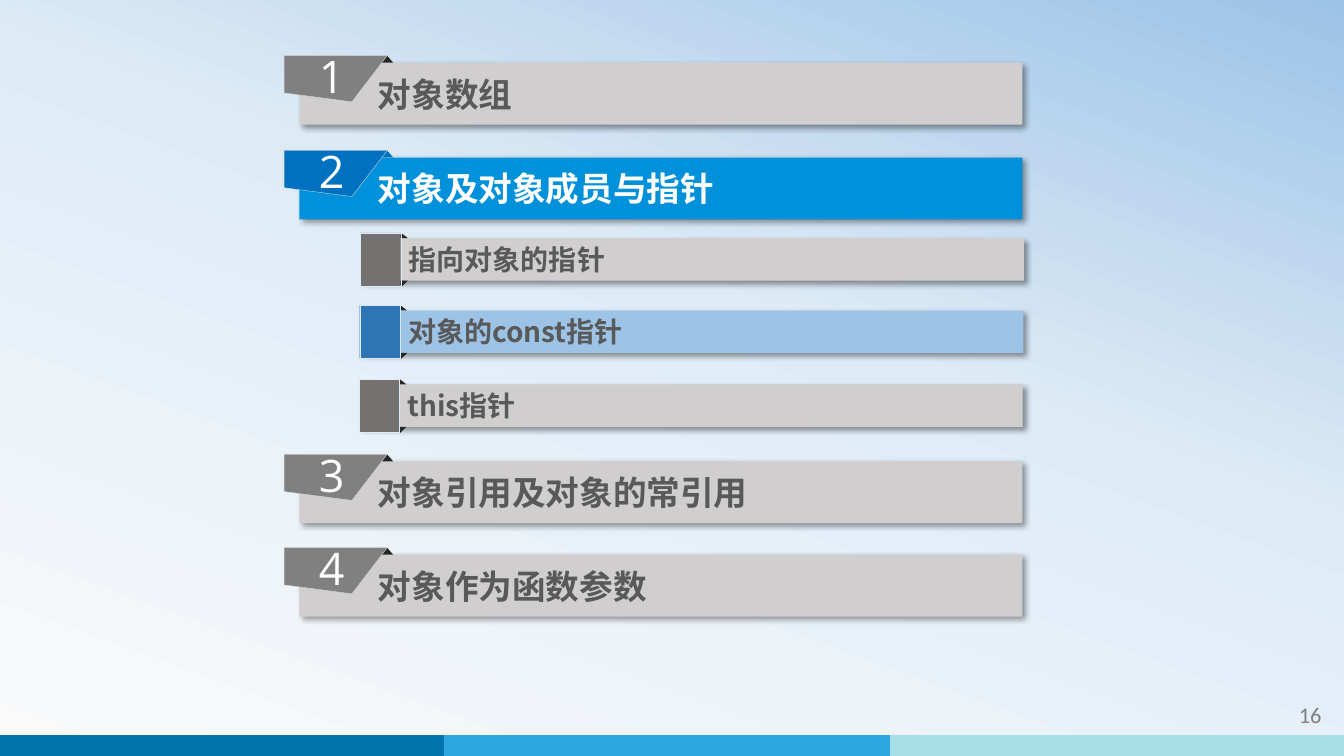
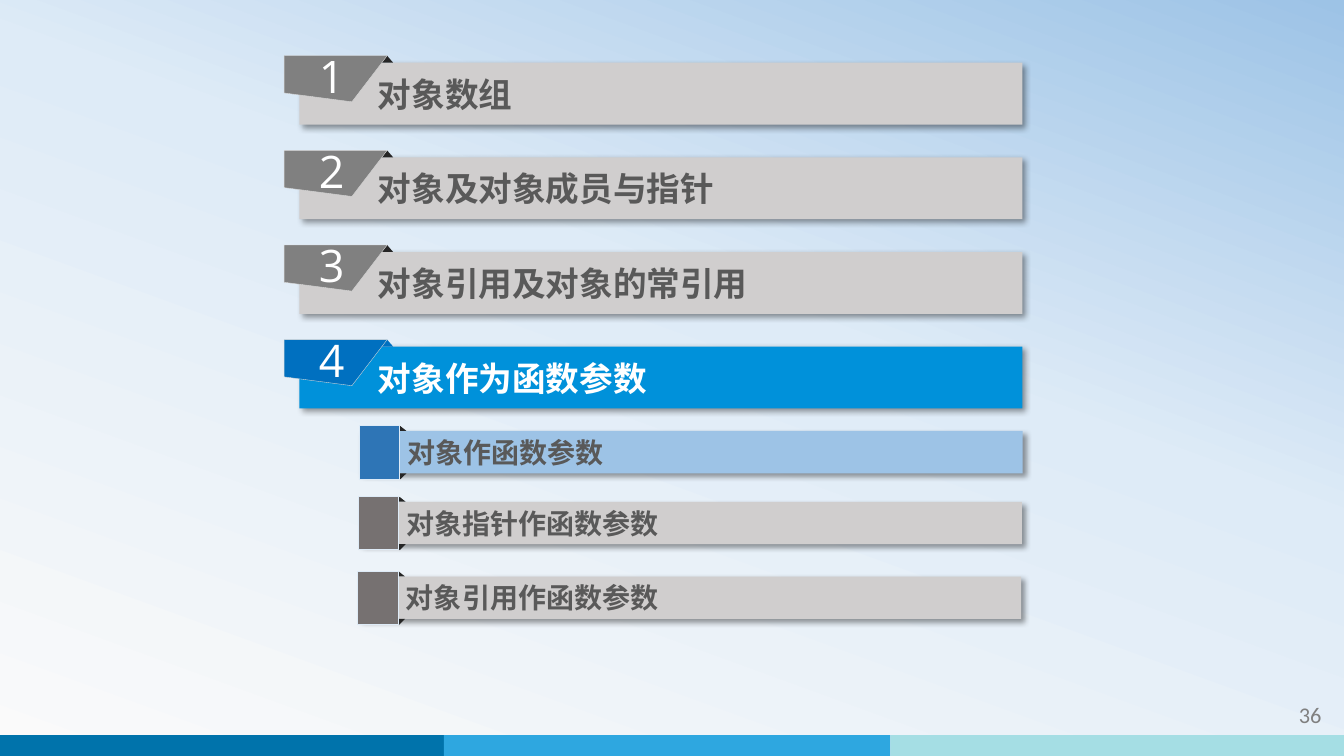
from copy import deepcopy
from dataclasses import dataclass
from itertools import pairwise

from lxml.etree import SubElement
from pptx import Presentation
from pptx.dml.color import RGBColor
from pptx.enum.shapes import MSO_SHAPE
from pptx.enum.text import MSO_ANCHOR, PP_ALIGN
from pptx.oxml.ns import qn
from pptx.util import Pt

WIDE, HIGH = 960, 540


@dataclass(frozen=True)
class Theme:
    sky: tuple = ((0, "FAFAFA"), (0.58, "DEEBF7"), (1, "9DC3E6"))
    bands: tuple = ("0073AB", "2EA7E0", "A5DEE4")
    bar: str = "D0CECE"
    ink: str = "595959"
    fold: str = "262626"
    tab: str = "808080"
    box: str = "767171"
    white: str = "FFFFFF"
    hot_bar: str = "0091DA"
    hot_tab: str = "0070C0"
    hot_sub: str = "9DC3E6"
    hot_box: str = "2E75B6"
    tab_edge: str = "D9D9D9"
    box_edge: str = "DEEBF7"
    shade: str = "000000"
    page: str = "808080"
    han: str = "Noto Sans CJK SC"
    digit: str = "Open Sans"
    foot: str = "Calibri"
    head_size: int = 24
    sub_size: int = 20
    digit_size: int = 32
    page_size: int = 16


class Deck:
    def __init__(self, theme):
        self.theme = theme
        self.prs = Presentation()
        self.prs.slide_width, self.prs.slide_height = Pt(WIDE), Pt(HIGH)
        self.slide = None

    def start(self, number):
        """Add a slide with its background, footer bands and page number."""
        look = self.theme
        self.slide = self.prs.slides.add_slide(self.prs.slide_layouts[6])
        fill = self.slide.background.fill
        fill.gradient()
        fill.gradient_angle = 70
        stops = self.slide._element.find(".//" + qn("a:gsLst"))
        stops.append(deepcopy(stops[0]))
        for stop, (place, color) in zip(fill.gradient_stops, look.sky):
            stop.position = place
            stop.color.rgb = RGBColor.from_string(color)
        shapes = self.slide.shapes
        bands = shapes.add_group_shape().shapes
        for (left, right), color in zip(pairwise((0, 317, 636, WIDE)), look.bands):
            self.shape(bands, left, 525, right - left, 15, color)
        label = shapes.add_textbox(Pt(836.5), Pt(497.5), Pt(114.5), Pt(29))
        self.text(label, str(number), look.foot, look.page_size, look.page,
                  align=PP_ALIGN.RIGHT, anchor=MSO_ANCHOR.TOP)

    def paint(self, shape, color, edge=None):
        shape.shadow.inherit = False
        shape.fill.solid()
        shape.fill.fore_color.rgb = RGBColor.from_string(color)
        if edge:
            shape.line.color.rgb = RGBColor.from_string(edge)
            shape.line.width = Pt(0.25)
        else:
            shape.line.fill.background()
        return shape

    def shape(self, group, x, y, w, h, color, edge=None, kind=MSO_SHAPE.RECTANGLE):
        item = group.add_shape(kind, Pt(x), Pt(y), Pt(w), Pt(h))
        return self.paint(item, color, edge)

    def fold(self, group, x, y, h, color):
        return self.shape(group, x, y, 8.6, h, color, kind=MSO_SHAPE.ISOSCELES_TRIANGLE)

    def shade(self, shape):
        """Give the shape a soft shadow to the lower right."""
        effects = shape._element.spPr.find(qn("a:effectLst"))
        outer = SubElement(effects, qn("a:outerShdw"), blurRad=str(Pt(4)),
                           dist=str(Pt(3)), dir="2700000", algn="tl", rotWithShape="0")
        color = SubElement(outer, qn("a:srgbClr"), val=self.theme.shade)
        SubElement(color, qn("a:alpha"), val="40000")

    def text(self, shape, words, face, size, color, bold=False, align=PP_ALIGN.LEFT,
             anchor=MSO_ANCHOR.MIDDLE, pad=(7.2, 3.6, 7.2, 3.6)):
        frame = shape.text_frame
        frame.word_wrap = True
        frame.vertical_anchor = anchor
        (frame.margin_left, frame.margin_top,
         frame.margin_right, frame.margin_bottom) = map(Pt, pad)
        line = frame.paragraphs[0]
        line.alignment = align
        run = line.add_run()
        run.text = words
        font = run.font
        font.size, font.bold = Pt(size), bold
        font.color.rgb = RGBColor.from_string(color)
        font.name = face
        SubElement(run._r.get_or_add_rPr(), qn("a:ea"), typeface=face)

    def head(self, y, number, words, hot):
        """Draw a chapter bar with its numbered tab."""
        look, x = self.theme, 203
        group = self.slide.shapes.add_group_shape().shapes
        bar = self.shape(group, x + 10.9, y + 5, 516.4, 44.2,
                         look.hot_bar if hot else look.bar)
        self.shade(bar)
        self.text(bar, words, look.han, look.head_size,
                  look.white if hot else look.ink, bold=True, pad=(56, 3.6, 7.2, 3.6))
        self.fold(group, x + 69.2, y, 5, look.hot_tab if hot else look.fold)
        pen = group.build_freeform(Pt(x), Pt(y))
        corners = ((73.6, 0), (48.4, 32.9), (0, 26.6))
        pen.add_line_segments([(Pt(x + dx), Pt(y + dy)) for dx, dy in corners])
        tab = self.paint(pen.convert_to_shape(),
                         look.hot_tab if hot else look.tab, look.tab_edge)
        self.text(tab, str(number), look.digit, look.digit_size, look.white,
                  align=PP_ALIGN.CENTER, pad=(6.5, 2.9, 12.2, 7.2))

    def sub(self, x, y, words, hot):
        """Draw a section bar with its square marker."""
        look = self.theme
        group = self.slide.shapes.add_group_shape().shapes
        bar = self.shape(group, x + 1, y + 3.8, 473, 30.3,
                         look.hot_sub if hot else look.bar)
        self.shade(bar)
        self.text(bar, words, look.han, look.sub_size, look.ink, bold=True,
                  pad=(33.5, 3.6, 7.2, 3.6))
        self.fold(group, x + 25.2, y + 0.4, 3.4, look.fold)
        self.fold(group, x + 25.2, y + 34.1, 4.2, look.fold).rotation = 180
        self.shape(group, x, y, 28.8, 38, look.hot_box if hot else look.box, look.box_edge)


HEADS = ("对象数组", "对象及对象成员与指针", "对象引用及对象的常引用", "对象作为函数参数")

# page, active chapter, chapter tops, active section, sections (left, top, words)
PAGES = (
    (16, 2, (39.8, 107.5, 324.5, 391.2), 2, (
        (257.5, 166.3, "指向对象的指针"),
        (257, 218, "对象的const指针"),
        (256.5, 270.8, "this指针"))),
    (36, 4, [39.8 + 67.6 * i for i in range(4)], 1, (
        (256.5, 304, "对象作函数参数"),
        (256, 354.6, "对象指针作函数参数"),
        (255.5, 408, "对象引用作函数参数"))),
)


def main():
    deck = Deck(Theme())
    for page, chapter, tops, section, subs in PAGES:
        deck.start(page)
        for i, (top, words) in enumerate(zip(tops, HEADS), 1):
            deck.head(top, i, words, i == chapter)
        for i, (left, top, words) in enumerate(subs, 1):
            deck.sub(left, top, words, i == section)
    deck.prs.save("out.pptx")


if __name__ == "__main__":
    main()
